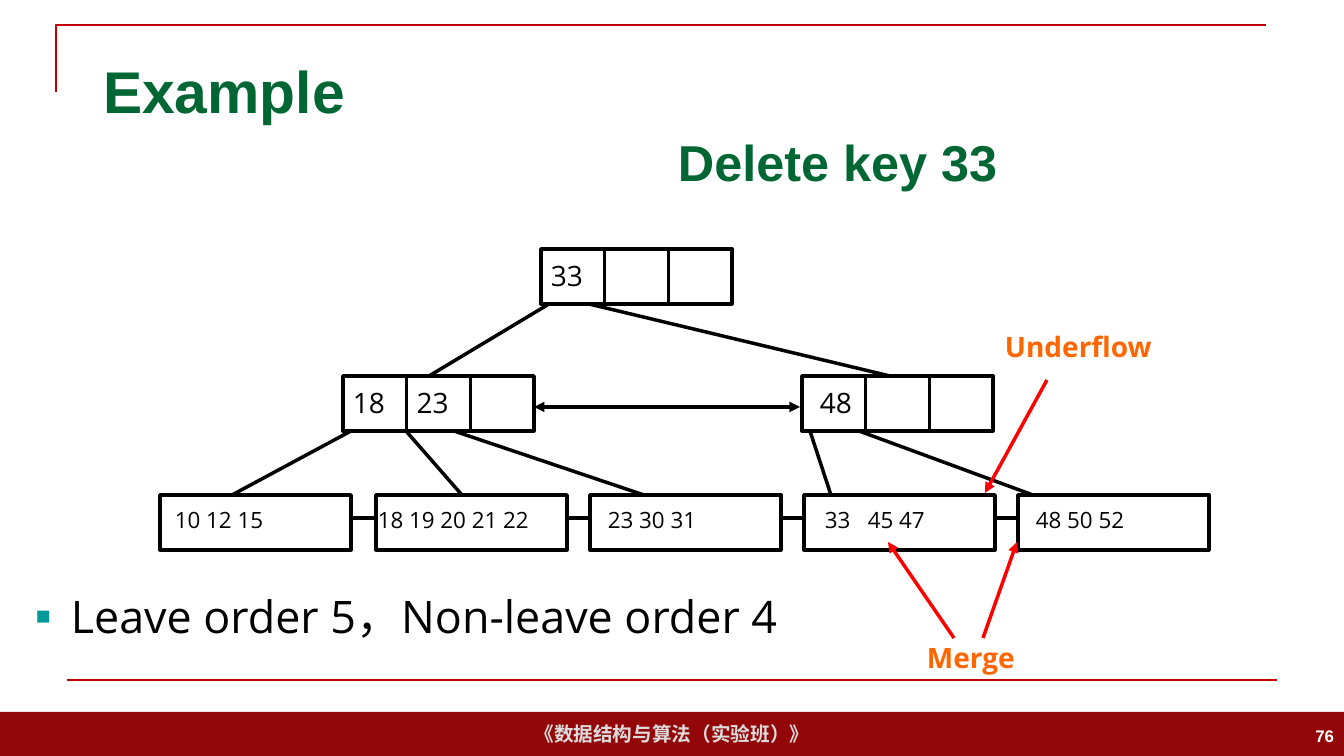
import pptx
import pptx.util
import pptx.dml.color
import pptx.enum.shapes
import pptx.enum.text
import pptx.oxml
import pptx.oxml.ns

PX = 12192000 / 1344
HUE = {"bar": "940709", "rule": "C00000", "green": "006633", "pale": "DDDDDD",
       "white": "FFFFFF", "ink": "000000", "note": "FF6600", "red": "FF0000",
       "teal": "009999"}
WIDE, HIGH = 191, 55
SANS = "Open Sans"
ALIGN = pptx.enum.text.PP_ALIGN
MID = pptx.enum.text.MSO_ANCHOR.MIDDLE
KIND = pptx.enum.shapes.MSO_SHAPE.RECTANGLE


def px(*nums):
    return [round(n * PX) for n in nums]


def tint(name):
    return pptx.dml.color.RGBColor.from_string(HUE[name])


def sub(node, tag, **attrs):
    part = pptx.oxml.parse_xml(f"<a:{tag} {pptx.oxml.ns.nsdecls('a')}/>")
    for key, val in attrs.items():
        part.set(key, val)
    node.append(part)


def style(para, size, hue, name=SANS, bold=False):
    font = para.font
    font.size, font.name, font.bold = pptx.util.Pt(size), name, bold
    font.color.rgb = tint(hue)


def pen(shape, hue, width):
    shape.line.color.rgb = tint(hue)
    shape.line.width = pptx.util.Pt(width)


def line(slide, start, end, hue="ink", width=2.5, heads=()):
    """Draw a straight line; heads lists the ends with arrows."""
    link = slide.shapes.add_connector(
        pptx.enum.shapes.MSO_CONNECTOR.STRAIGHT, *px(*start, *end))
    pen(link, hue, width)
    for head in heads:
        sub(link.line._get_or_add_ln(), head, type="triangle")
    sub(link._element.spPr, "effectLst")


def rect(slide, box, fill=None):
    """Draw a black frame, or a filled bar without a line."""
    shape = slide.shapes.add_shape(KIND, *px(*box))
    shape.shadow.inherit = False
    if fill:
        shape.fill.solid()
        shape.fill.fore_color.rgb = tint(fill)
        shape.line.fill.background()
    else:
        shape.fill.background()
        pen(shape, "ink", 2.5)
    return shape


def label(slide, box, text, size, hue="ink", name=SANS, bold=False, gap=0.9):
    frame = slide.shapes.add_textbox(*px(*box)).text_frame
    frame.word_wrap = True
    para = frame.paragraphs[0]
    para.text = text
    para.line_spacing = gap
    style(para, size, hue, name, bold)
    return frame


def frame(slide):
    """Draw the rules, the footer bar and the page number."""
    bar = rect(slide, (0, 712, 1344, 44), "bar").text_frame
    bar.vertical_anchor = MID
    para = bar.paragraphs[0]
    para.text = "《数据结构与算法（实验班）》"
    para.alignment = ALIGN.CENTER
    style(para, 14, "pale", "Arial", True)

    path = slide.shapes.build_freeform(56, 92, scale=PX)
    path.add_line_segments([(56, 25), (1266, 25)], close=False)
    edge = path.convert_to_shape()
    edge.shadow.inherit = False
    edge.fill.background()
    pen(edge, "rule", 1.5)
    line(slide, (67, 680), (1277, 680), "rule", 1.5)

    page = label(slide, (1041, 716, 303, 40), "76", 12, "white", "Arial", True, 1)
    page.vertical_anchor = MID
    page.paragraphs[0].alignment = ALIGN.RIGHT


def heads(slide):
    title = slide.shapes.title
    title.left, title.top, title.width, title.height = px(93, 40, 1159, 100)
    title.text_frame.vertical_anchor = MID
    para = title.text_frame.paragraphs[0]
    para.text = "Example"
    para.alignment = ALIGN.LEFT
    style(para, 42, "green", "Arial", True)
    label(slide, (668, 126, 404, 72), "Delete key 33", 36, "green", "Arial", True, 1)


def inner(slide, x, y, keys, shift=0):
    """Draw a node of three cells, with its keys moved right by shift."""
    rect(slide, (x, y, WIDE, HIGH))
    for i in (1, 2):
        cut = x + i * WIDE / 3
        line(slide, (cut, y), (cut, y + HIGH))
    for i, key in enumerate(keys):
        label(slide, (x + shift + i * WIDE / 3, y + 8, 64, 44), key, 20)


def leaf(slide, x, y, parts):
    rect(slide, (x, y, WIDE, HIGH))
    for shift, text in parts:
        label(slide, (x + shift, y + 9, 24 + 14 * len(text), 37), text, 16)


def tree(slide):
    root, mid, low = 249, 376, 495
    inner(slide, 541, root, ["33"])
    inner(slide, 343, mid, ["18", "23"])
    inner(slide, 802, mid, ["48"], 8)

    leaves = {160: [(5, "10 12 15")],
              376: [(-8, "18 19 20 21 22")],
              590: [(8, "23 30 31")],
              804: [(11, "33"), (54, "45 47")],
              1018: [(8, "48 50 52")]}
    for x, parts in leaves.items():
        leaf(slide, x, low, parts)
    spots = list(leaves)
    for x, after in zip(spots, spots[1:]):
        line(slide, (x + WIDE, 518), (after, 518))

    edges = {(root, mid): [(549, 429), (589, 890)],
             (mid, low): [(351, 232), (406, 462), (454, 644),
                          (810, 831), (859, 1033)]}
    for (top, base), pairs in edges.items():
        for start, end in pairs:
            line(slide, (start, top + HIGH), (end, base))
    line(slide, (343 + WIDE, 407), (800, 407), heads=("headEnd", "tailEnd"))


def notes(slide):
    """Mark the underflow and the merge."""
    label(slide, (995, 328, 215, 44), "Underflow", 20, "note", bold=True)
    label(slide, (917, 639, 130, 44), "Merge", 20, "note", bold=True)
    for start, end in [((1047, 380), (985, 493)),
                       ((954, 638), (888, 542)),
                       ((983, 638), (1017, 542))]:
        line(slide, start, end, "red", heads=("tailEnd",))


def orders(slide):
    box = label(slide, (26, 590, 860, 65), "", 32)
    para = box.paragraphs[0]
    para.text = "Leave order 5，Non-leave order 4"
    prop = para._p.get_or_add_pPr()
    left = px(35)[0]
    prop.set("marL", str(left))
    prop.set("indent", str(-left))
    mark = pptx.oxml.parse_xml(
        f"<a:pPr {pptx.oxml.ns.nsdecls('a')}>"
        f"<a:buClr><a:srgbClr val='{HUE['teal']}'/></a:buClr>"
        "<a:buSzPct val='55000'/><a:buFont typeface='Arial'/>"
        "<a:buChar char='■'/></a:pPr>")
    rest = prop.find(pptx.oxml.ns.qn("a:defRPr"))
    for part in list(mark):
        rest.addprevious(part)


def main():
    deck = pptx.Presentation()
    deck.slide_width, deck.slide_height = px(1344, 756)
    slide = deck.slides.add_slide(deck.slide_layouts[5])
    frame(slide)
    heads(slide)
    tree(slide)
    notes(slide)
    orders(slide)
    deck.save("out.pptx")


if __name__ == "__main__":
    main()
